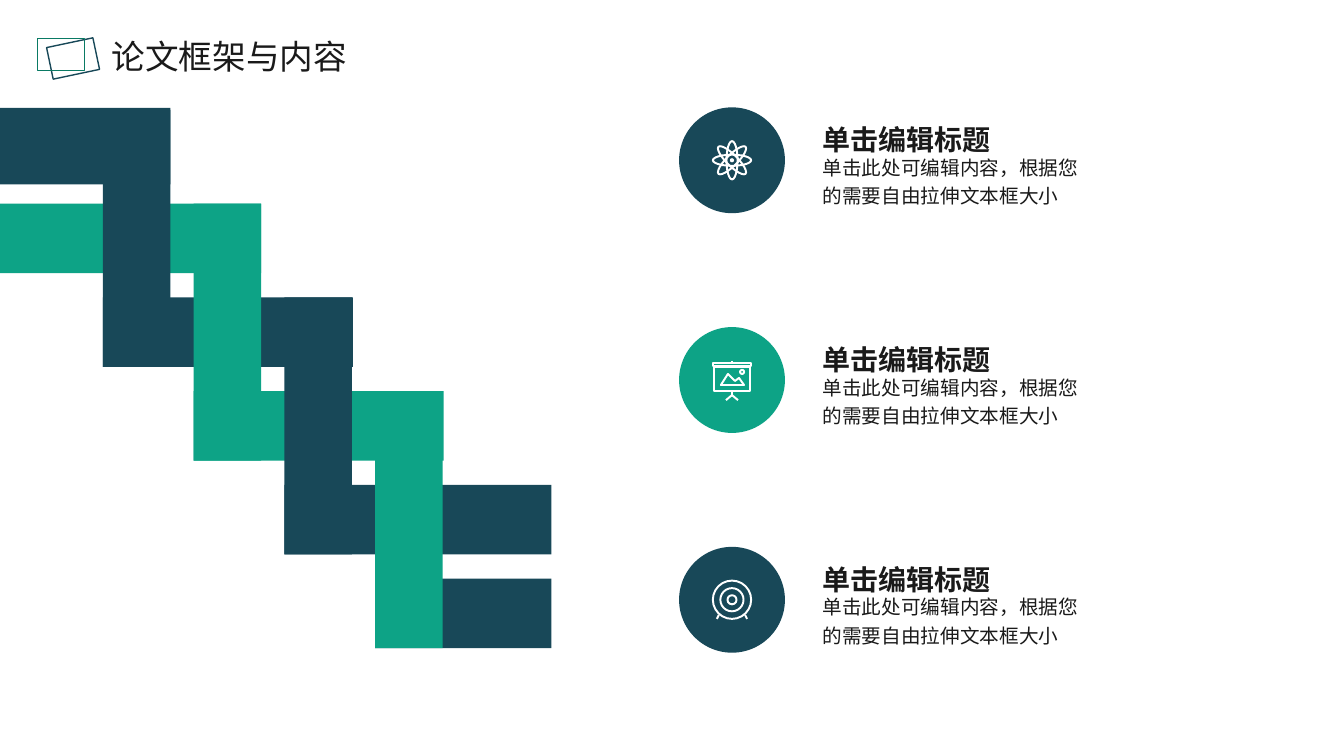
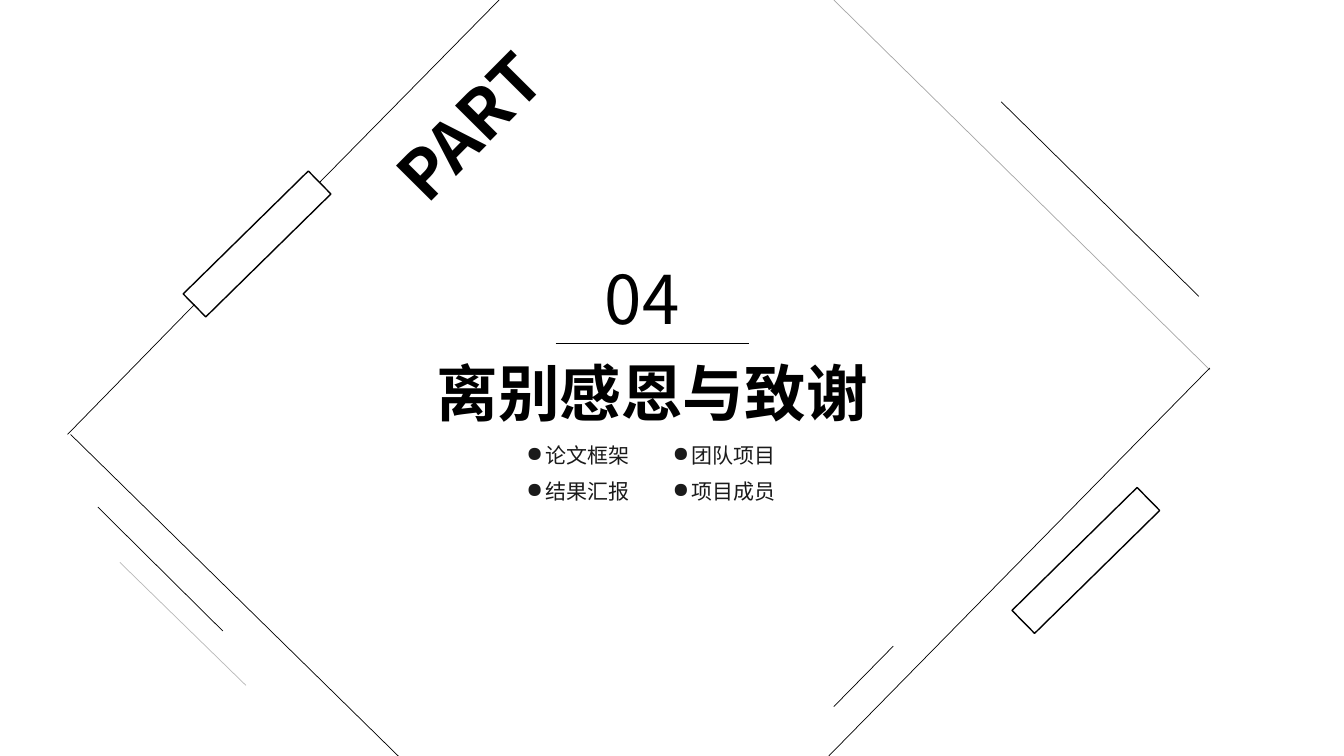
"""Build a framework slide and a section slide in one woven green theme."""
import pptx
import pptx.dml.color
import pptx.enum.shapes
import pptx.enum.text
import pptx.oxml
import pptx.oxml.ns
import pptx.util

Inches = pptx.util.Inches
Pt = pptx.util.Pt
Kind = pptx.enum.shapes.MSO_SHAPE
Align = pptx.enum.text.PP_ALIGN
qn = pptx.oxml.ns.qn

sans = "Noto Sans CJK SC"
theme = {
    "color": {"dark": "184858", "green": "0DA386", "edge": "0A7A64",
              "ink": "1A1A1A", "black": "000000", "white": "FFFFFF"},
    "text": {
        "title": {"font": {"size": Pt(24), "name": sans}, "color": "ink", "align": Align.CENTER},
        "head": {"font": {"size": Pt(20), "name": "Arial", "bold": True}, "color": "ink",
                 "tight": True, "space": 1.2},
        "body": {"font": {"size": Pt(14), "name": "Arial"}, "color": "ink",
                 "tight": True, "space": 1.2},
        "part": {"font": {"size": Pt(48), "name": sans, "bold": True}, "color": "black"},
        "count": {"font": {"size": Pt(48), "name": sans}, "color": "black"},
        "theme": {"font": {"size": Pt(44), "name": sans, "bold": True}, "color": "black",
                  "wrap": False},
        "point": {"font": {"size": Pt(15), "name": sans}, "color": "ink",
                  "tight": True, "mark": "●"},
    },
}


def paint(shape, fill=None, line=None, width=1, turn=0):
    """Give a shape its fill, outline and rotation."""
    shape.shadow.inherit = False
    shape.rotation = turn
    for part, name in ((shape.fill, fill), (shape.line.fill, line)):
        if name:
            part.solid()
            part.fore_color.rgb = pptx.dml.color.RGBColor.from_string(theme["color"][name])
        else:
            part.background()
    if line:
        shape.line.width = Pt(width)


def rule(page, start, end, color="black", width=0.5, alpha=100):
    """Draw a straight line between two points."""
    line = page.shapes.add_connector(
        pptx.enum.shapes.MSO_CONNECTOR.STRAIGHT, *map(Inches, start + end))
    line.line.color.rgb = pptx.dml.color.RGBColor.from_string(theme["color"][color])
    line.line.width = Pt(width)
    props = line._element.spPr
    if alpha < 100:
        tint = props.find(".//" + qn("a:srgbClr"))
        tint.append(pptx.oxml.parse_xml(
            f'<a:alpha {pptx.oxml.ns.nsdecls("a")} val="{alpha * 1000}"/>'))
    props.append(pptx.oxml.parse_xml(f'<a:effectLst {pptx.oxml.ns.nsdecls("a")}/>'))


deck = pptx.Presentation()
deck.slide_width = Inches(13.33)
deck.slide_height = Inches(7.5)
frame, close = [deck.slides.add_slide(deck.slide_layouts[6]) for _ in range(2)]

left, top, step, rise = 1.02, 1.09, 0.9, 0.93
bars = [(0, 2.59, "green"), (1.02, 3.5, "dark"), (1.92, 4.4, "green"),
        (2.82, 5.47, "dark"), (3.72, 5.47, "dark")]
bands = [((start, top + rise * (row + 1), end - start, 0.69), color)
         for row, (start, end, color) in enumerate(bars)]
bands.append(((0, 1.07, 1.69, 0.76), "dark"))
bands += [((left + step * row, top + rise * row, 0.67, 2.55), color)
          for row, color in enumerate(["dark", "green"] * 2)]
for at, color in bands:
    paint(frame.shapes.add_shape(Kind.RECTANGLE, *map(Inches, at)), color)

gap = 2.18
mid = 7.26
rows = [1.59 + gap * row for row in range(3)]
for y, color in zip(rows, ["dark", "green", "dark"]):
    disc = (mid - 0.525, y - 0.525, 1.05, 1.05)
    paint(frame.shapes.add_shape(Kind.OVAL, *map(Inches, disc)), color)

atom, board, goal = rows
icons = [(Kind.OVAL, atom, 0, 0, 0.38, 0.11, turn) for turn in (0, 45, 90, 135)]
icons += [(Kind.OVAL, goal, 0, 0, size, size, 0) for size in (0.38, 0.23, 0.09)]
icons += [
    (Kind.RECTANGLE, board, 0, -0.15, 0.38, 0.03, 0),
    (Kind.RECTANGLE, board, 0, -0.01, 0.35, 0.24, 0),
    (Kind.OVAL, board, 0.1, -0.08, 0.04, 0.04, 0),
]
for kind, y, right, down, wide, high, turn in icons:
    at = (mid + right - wide / 2, y + down - high / 2, wide, high)
    paint(frame.shapes.add_shape(kind, *map(Inches, at)),
          line="white", width=1.4, turn=turn)
core = (mid - 0.02, atom - 0.02, 0.04, 0.04)
paint(frame.shapes.add_shape(Kind.OVAL, *map(Inches, core)), "white")

peaks = [(-0.11, 0.05), (-0.04, -0.06), (0.03, 0.01), (0.07, -0.02), (0.12, 0.05)]
spots = [(Inches(mid + x), Inches(board + y)) for x, y in peaks]
hill = frame.shapes.build_freeform(*spots[0])
hill.add_line_segments(spots[1:], close=True)
paint(hill.convert_to_shape(), line="white", width=1.4)

rule(frame, (mid, board - 0.19), (mid, board - 0.16), "white", 1.4)
rule(frame, (mid, board + 0.11), (mid, board + 0.15), "white", 1.4)
for side in (-1, 1):
    rule(frame, (mid, board + 0.15), (mid + 0.06 * side, board + 0.2), "white", 1.4)
    rule(frame, (mid + 0.13 * side, goal + 0.15), (mid + 0.15 * side, goal + 0.19),
         "white", 1.4)

boxes = [
    (frame, (0.49, 0.42, 0.47, 0.32), "dark", 348.1),
    (frame, (0.37, 0.38, 0.47, 0.32), "edge", 0),
    (close, (1.68, 2.26, 1.74, 0.32), "black", 315.5),
    (close, (9.9, 5.4, 1.74, 0.32), "black", 315.5),
]
for page, at, color, turn in boxes:
    paint(page.shapes.add_shape(Kind.RECTANGLE, *map(Inches, at)), line=color, turn=turn)

lines = [
    ((4.95, 0), (3.17, 1.81), 100),
    ((1.93, 3.02), (0.67, 4.31), 100),
    ((3.95, 7.5), (0.7, 4.31), 100),
    ((12, 3.67), (8.27, 0), 34),
    ((11.89, 2.94), (9.93, 1.01), 100),
    ((12, 3.65), (8.22, 7.5), 100),
    ((2.21, 6.26), (0.97, 5.03), 100),
    ((2.44, 6.8), (1.19, 5.58), 28),
    ((8.86, 6.41), (8.27, 7.01), 100),
    ((5.51, 3.41), (7.43, 3.41), 100),
]
for start, end, alpha in lines:
    rule(close, start, end, alpha=alpha)

words = [
    (frame, "title", (0.99, 0.31, 2.57, 0.5), "论文框架与内容", 0),
    (close, "part", (3.62, 0.59, 2.47, 0.91), "PART", 314.8),
    (close, "count", (5.9, 2.5, 1.12, 0.91), "04", 0),
    (close, "theme", (4.23, 3.47, 4.52, 0.84), "离别感恩与致谢", 0),
]
for y in rows:
    words.append((frame, "head", (8.16, y - 0.44, 1.82, 0.37), "单击编辑标题", 0))
    words.append((frame, "body", (8.16, y - 0.09, 2.55, 0.54),
                  "单击此处可编辑内容，根据您的需要自由拉伸文本框大小", 0))
points = [("论文框架", "团队项目"), ("结果汇报", "项目成员")]
for row, pair in enumerate(points):
    for x, text in zip((5.22, 6.67), pair):
        words.append((close, "point", (x, 4.39 + 0.36 * row, 1.09, 0.25), text, 0))

for page, name, at, text, turn in words:
    style = theme["text"][name]
    box = page.shapes.add_textbox(*map(Inches, at))
    box.rotation = turn
    body = box.text_frame
    body.word_wrap = style.get("wrap", True)
    body.auto_size = pptx.enum.text.MSO_AUTO_SIZE.SHAPE_TO_FIT_TEXT
    if style.get("tight"):
        for side in ("left", "top", "right", "bottom"):
            setattr(body, f"margin_{side}", 0)
    para = body.paragraphs[0]
    para.alignment = style.get("align", Align.LEFT)
    para.line_spacing = style.get("space")
    if "mark" in style:
        props = para._p.get_or_add_pPr()
        props.set("marL", str(Inches(0.19)))
        props.set("indent", str(Inches(-0.19)))
        props.append(pptx.oxml.parse_xml(
            f'<a:buChar {pptx.oxml.ns.nsdecls("a")} char="{style["mark"]}"/>'))
    run = para.add_run()
    run.text = text
    for key, value in style["font"].items():
        setattr(run.font, key, value)
    run.font.color.rgb = pptx.dml.color.RGBColor.from_string(theme["color"][style["color"]])
    if style["font"]["name"] == sans:
        run._r.get_or_add_rPr().append(pptx.oxml.parse_xml(
            f'<a:ea {pptx.oxml.ns.nsdecls("a")} typeface="{sans}"/>'))

deck.save("out.pptx")
